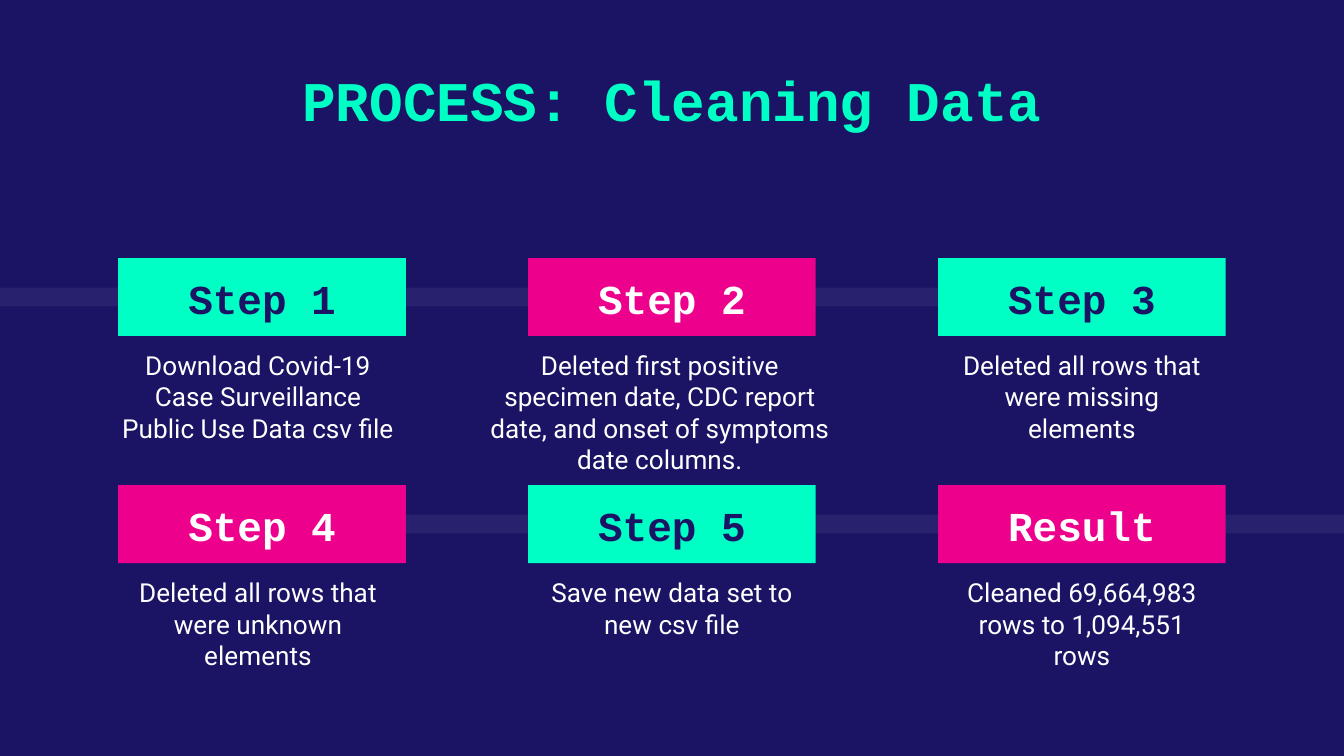
from dataclasses import dataclass

from lxml import etree
from pptx import Presentation
from pptx.dml.color import RGBColor
from pptx.enum.shapes import MSO_SHAPE
from pptx.enum.text import MSO_ANCHOR, PP_ALIGN
from pptx.oxml.ns import qn
from pptx.util import Inches, Pt

RECTANGLE = MSO_SHAPE.RECTANGLE
TOP, MIDDLE, BOTTOM = MSO_ANCHOR.TOP, MSO_ANCHOR.MIDDLE, MSO_ANCHOR.BOTTOM
CENTER = PP_ALIGN.CENTER

NAVY, MINT, PINK, WHITE = "1B1464", "00FFC5", "EC008C", "FFFFFF"
HEADING_FONT, BODY_FONT = "Courier New", "Roboto"

# Widescreen slide and grid of step cards, in inches
SLIDE_W = 10
SLIDE_H = SLIDE_W * 9 / 16
GRID_LEFT, GRID_TOP = 0.88, 1.92
COLUMN_PITCH, ROW_PITCH = 3.05, 1.69
LABEL_W, LABEL_H = 2.14, 0.58
RAIL_DROP, RAIL_H = 0.22, 0.14


@dataclass(frozen=True)
class Step:
    column: int
    row: int
    label: str
    detail: str
    detail_w: float = 2.07
    detail_h: float = 0.73
    shift: float = 0  # detail centre relative to label centre


@dataclass(frozen=True)
class Rail:
    row: int
    left: float
    width: float


STEPS = (
    Step(0, 0, "Step 1", "Download Covid-19 Case Surveillance Public Use Data csv file",
         2.27, 0.85, -0.03),
    Step(1, 0, "Step 2", "Deleted first positive specimen date, CDC report date, "
         "and onset of symptoms date columns.", 2.85, 0.85, -0.09),
    Step(2, 0, "Step 3", "Deleted all rows that were missing elements"),
    Step(0, 1, "Step 4", "Deleted all rows that were unknown elements", 2.27, shift=-0.03),
    Step(1, 1, "Step 5", "Save new data set to new csv file"),
    Step(2, 1, "Result", "Cleaned 69,664,983 rows to 1,094,551 rows"),
)
RAILS = (Rail(0, 0, 8.52), Rail(1, 1.02, 8.98))


def color(value: str) -> RGBColor:
    return RGBColor.from_string(value)


def row_top(row: int) -> float:
    return GRID_TOP + row * ROW_PITCH


def write(shape, text: str, *, size: float, font: str, ink: str,
          bold: bool = False, anchor=TOP) -> None:
    frame = shape.text_frame
    frame.word_wrap = True
    frame.vertical_anchor = anchor
    frame.margin_left = frame.margin_right = Inches(0.1)
    frame.margin_top = frame.margin_bottom = Inches(0.1)
    paragraph = frame.paragraphs[0]
    paragraph.alignment = CENTER
    run = paragraph.add_run()
    run.text = text
    run.font.size, run.font.name, run.font.bold = Pt(size), font, bold
    run.font.color.rgb = color(ink)


def add_block(slide, left: float, top: float, width: float, height: float, fill: str):
    block = slide.shapes.add_shape(
        RECTANGLE, Inches(left), Inches(top), Inches(width), Inches(height))
    block.shadow.inherit = False
    block.fill.solid()
    block.fill.fore_color.rgb = color(fill)
    block.line.fill.background()
    return block


def add_rail(slide, rail: Rail) -> None:
    band = add_block(slide, rail.left, row_top(rail.row) + RAIL_DROP,
                     rail.width, RAIL_H, WHITE)
    tint = band.element.spPr.find(qn("a:solidFill"))[0]
    etree.SubElement(tint, qn("a:alpha"), val="6000")


def add_step(slide, step: Step) -> None:
    left = GRID_LEFT + step.column * COLUMN_PITCH
    top = row_top(step.row)

    # Fills alternate like a checkerboard
    fill, ink = (PINK, WHITE) if (step.column + step.row) % 2 else (MINT, NAVY)
    label = add_block(slide, left, top, LABEL_W, LABEL_H, fill)
    write(label, step.label, size=22, font=HEADING_FONT, ink=ink, bold=True, anchor=BOTTOM)

    detail_left = left + (LABEL_W - step.detail_w) / 2 + step.shift
    detail = slide.shapes.add_textbox(Inches(detail_left), Inches(top + LABEL_H),
                                      Inches(step.detail_w), Inches(step.detail_h))
    write(detail, step.detail, size=14, font=BODY_FONT, ink=WHITE)


def main() -> None:
    deck = Presentation()
    deck.slide_width, deck.slide_height = Inches(SLIDE_W), Inches(SLIDE_H)
    slide = deck.slides.add_slide(deck.slide_layouts.get_by_name("Title Only"))
    slide.background.fill.solid()
    slide.background.fill.fore_color.rgb = color(NAVY)

    # Title
    title = slide.shapes.title
    title.left, title.top = Inches(1.4), Inches(0.37)
    title.width, title.height = Inches(7.2), Inches(0.73)
    write(title, "PROCESS: Cleaning Data", size=30, font=HEADING_FONT, ink=MINT,
          bold=True, anchor=MIDDLE)

    # Rails behind the cards, then the cards
    for rail in RAILS:
        add_rail(slide, rail)
    for step in STEPS:
        add_step(slide, step)

    deck.save("out.pptx")


if __name__ == "__main__":
    main()
